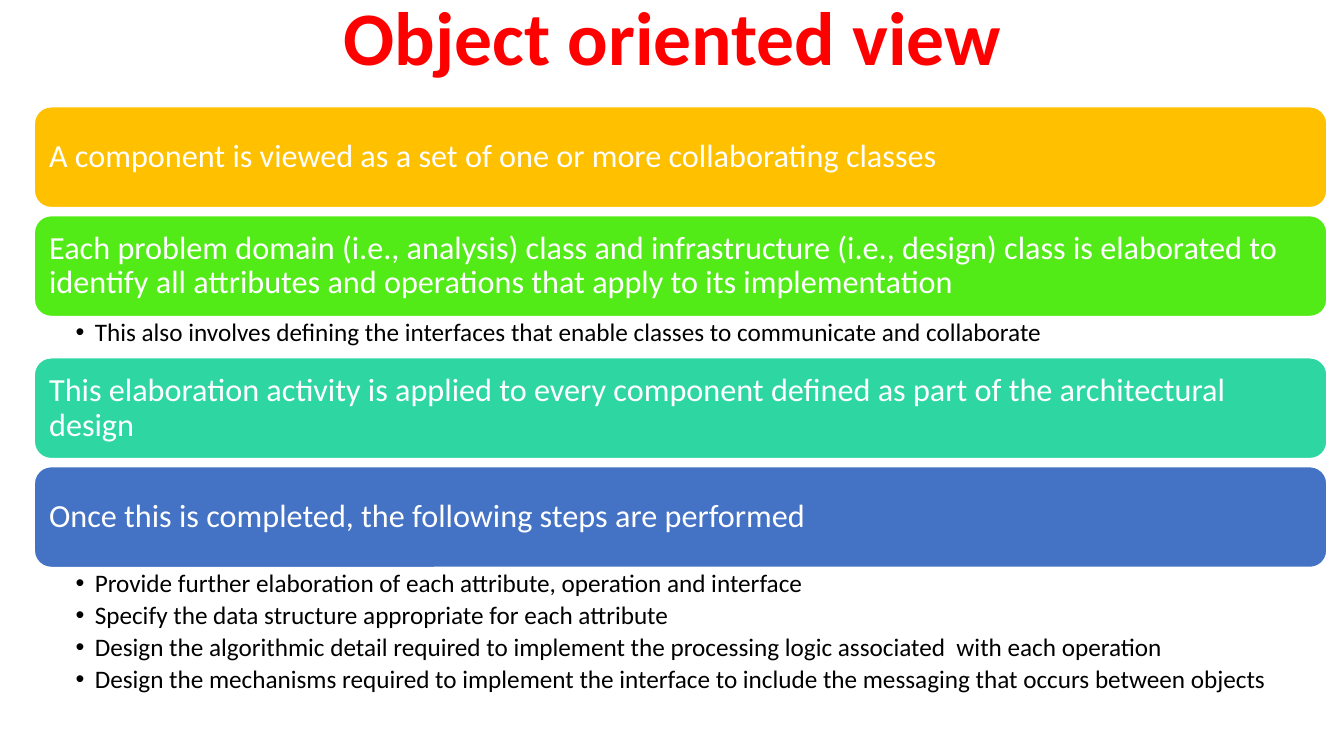
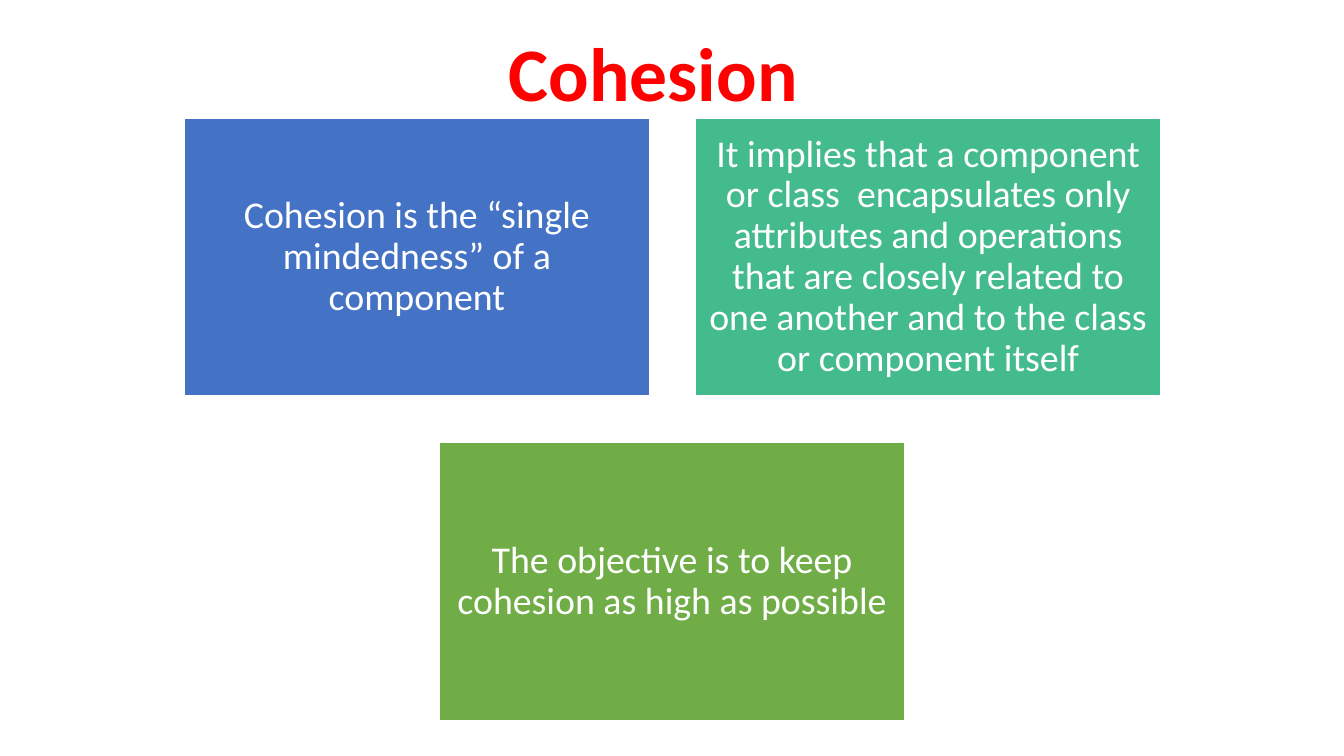
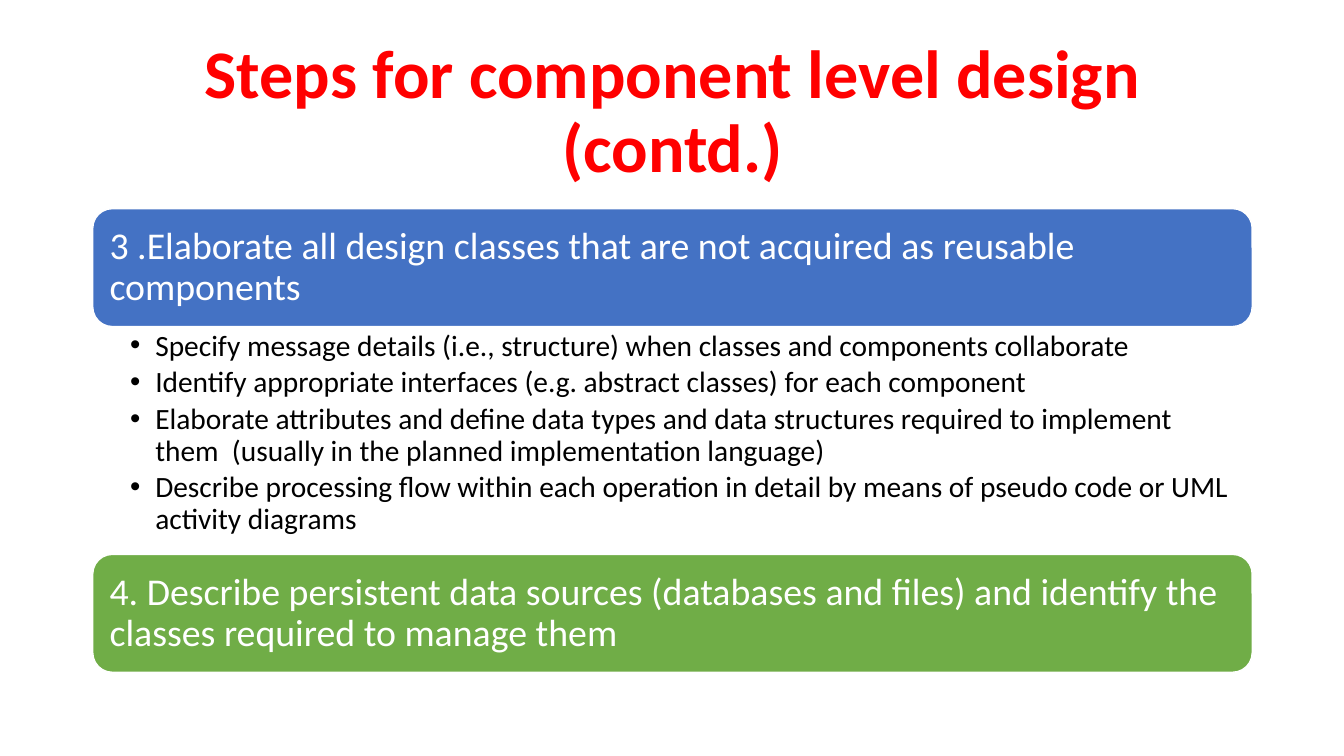
from lxml.etree import SubElement
from pptx import Presentation
from pptx.dml.color import RGBColor
from pptx.enum.shapes import MSO_SHAPE as Shape
from pptx.enum.text import MSO_ANCHOR as Anchor, MSO_AUTO_SIZE as Fit, PP_ALIGN as Align
from pptx.oxml.ns import qn
from pptx.util import Emu, Pt

SCALE = 9144
BLUE, GREEN, WHITE, BLACK, RED = "4472C4", "70AD47", "FFFFFF", "000000", "FF0000"


def px(size):
    return Emu(size * SCALE)


def tint(code):
    return RGBColor.from_string(code)


class Deck:
    """Holds the shared style and the current slide."""

    font = "Calibri"
    lead = 0.9

    def __init__(self):
        self.prs = Presentation()
        self.prs.slide_width, self.prs.slide_height = px(1333), px(750)

    def slide(self, layout, title, box, size=54):
        self.page = self.prs.slides.add_slide(self.prs.slide_layouts[layout])
        head = self.page.shapes.title
        self.place(head, box)
        self.label(head.text_frame, [title], size, RED, Align.CENTER, bold=True)

    def place(self, shape, box):
        shape.left, shape.top, shape.width, shape.height = map(px, box)

    def inset(self, frame, left, top, right, low):
        frame.margin_left, frame.margin_top = px(left), px(top)
        frame.margin_right, frame.margin_bottom = px(right), px(low)

    def label(self, frame, lines, size, color, align, bold=False, after=0, hang=0):
        frame.word_wrap = True
        frame.auto_size = Fit.NONE
        for i, line in enumerate(lines):
            para = frame.paragraphs[0] if i == 0 else frame.add_paragraph()
            para.text = line
            if hang:
                self.bullet(para, hang)
            para.alignment = align
            para.line_spacing = self.lead
            para.space_before, para.space_after = Pt(0), Pt(after)
            font = para.font
            font.name, font.size, font.bold = self.font, Pt(size), bold
            font.color.rgb = tint(color)

    def bullet(self, para, hang):
        props = para._p.get_or_add_pPr()
        props.set("marL", str(px(hang)))
        props.set("indent", str(-px(hang)))
        SubElement(props, qn("a:buFont"), typeface="Arial")
        SubElement(props, qn("a:buChar"), char="•")

    def panel(self, text, box, fill, size, pad, kind=Shape.RECTANGLE, align=Align.CENTER):
        shape = self.page.shapes.add_shape(kind, *map(px, box))
        shape.shadow.inherit = False
        shape.fill.solid()
        shape.fill.fore_color.rgb = tint(fill)
        shape.line.color.rgb = tint(WHITE)
        shape.line.width = Pt(1)
        frame = shape.text_frame
        frame.vertical_anchor = Anchor.MIDDLE
        self.inset(frame, pad, pad, pad, pad)
        self.label(frame, [text], size, WHITE, align)

    def points(self, slot, lines, box, size, pads, hang):
        body = self.page.placeholders[slot]
        self.place(body, box)
        frame = body.text_frame
        frame.vertical_anchor = Anchor.TOP
        self.inset(frame, *pads)
        self.label(frame, lines, size, BLACK, Align.LEFT, after=3.5, hang=hang)

    def stack(self, rows, left, top, wide, bar, size, pad, small, pads, hang, gap=8):
        slot = 1
        for text, fill, lines, tall in rows:
            self.panel(text, (left, top, wide, bar), fill, size, pad,
                       Shape.ROUNDED_RECTANGLE, Align.LEFT)
            top += bar
            if lines:
                self.points(slot, lines, (left, top, wide, tall), small, pads, hang)
                slot += 1
            top += tall or gap


def main():
    deck = Deck()

    deck.slide(3, "Object oriented view", (92, 0, 1150, 81))
    deck.stack([
        ("A component is viewed as a set of one or more collaborating classes",
         "FFC000", [], 0),
        ("Each problem domain (i.e., analysis) class and infrastructure (i.e., design) class "
         "is elaborated to identify all attributes and operations that apply to its "
         "implementation", "53EB17",
         ["This also involves defining the interfaces that enable classes to communicate "
          "and collaborate"], 41),
        ("This elaboration activity is applied to every component defined as part of the "
         "architectural design", "2ED7A1", [], 0),
        ("Once this is completed, the following steps are performed", BLUE,
         ["Provide further elaboration of each attribute, operation and interface",
          "Specify the data structure appropriate for each attribute",
          "Design the algorithmic detail required to implement the processing logic "
          "associated  with each operation",
          "Design the mechanisms required to implement the interface to include the "
          "messaging that occurs between objects"], 135),
    ], 34, 106, 1282, 100, 23, 10, 18, (41, 3, 18, 3), 19)

    deck.slide(5, "Cohesion", (73, 36, 1150, 81))
    wide, tall, gap, left, top = 461, 276, 46, 183, 117
    step = wide + gap
    for text, fill, col, row in [
        ("Cohesion is the “single mindedness” of a component", BLUE, 0, 0),
        ("It implies that a component or class  encapsulates only attributes and operations "
         "that are closely related to one another and to the class or component itself",
         "43BB8D", 1, 0),
        ("The objective is to keep cohesion as high as possible", GREEN, 0.5, 1),
    ]:
        box = (left + int(col * step), top + row * (tall + gap), wide, tall)
        deck.panel(text, box, fill, 27, 11)

    deck.slide(1, "Steps for component level design (contd.)", (92, 40, 1150, 145), 48.6)
    deck.stack([
        ("3 .Elaborate all design classes that are not acquired as reusable components", BLUE,
         ["Specify message details (i.e., structure) when classes and components collaborate",
          "Identify appropriate interfaces (e.g. abstract classes) for each component",
          "Elaborate attributes and define data types and data structures required to "
          "implement them  (usually in the planned implementation language)",
          "Describe processing flow within each operation in detail by means of pseudo code "
          "or UML activity diagrams"], 226),
        ("4. Describe persistent data sources (databases and files) and identify the classes "
         "required to manage them", GREEN, [], 0),
    ], 92, 207, 1150, 117, 27, 11, 21, (37, 4, 21, 4), 25)

    deck.prs.save("out.pptx")


if __name__ == "__main__":
    main()
